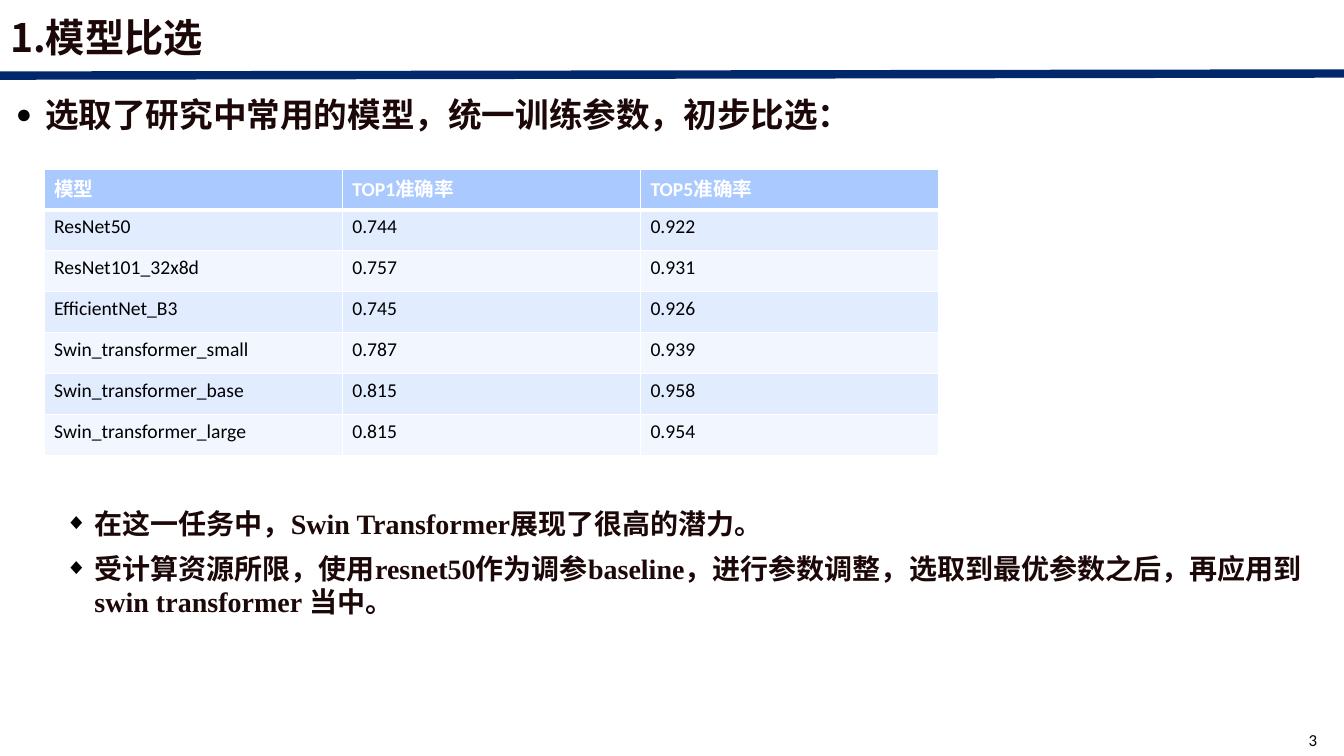
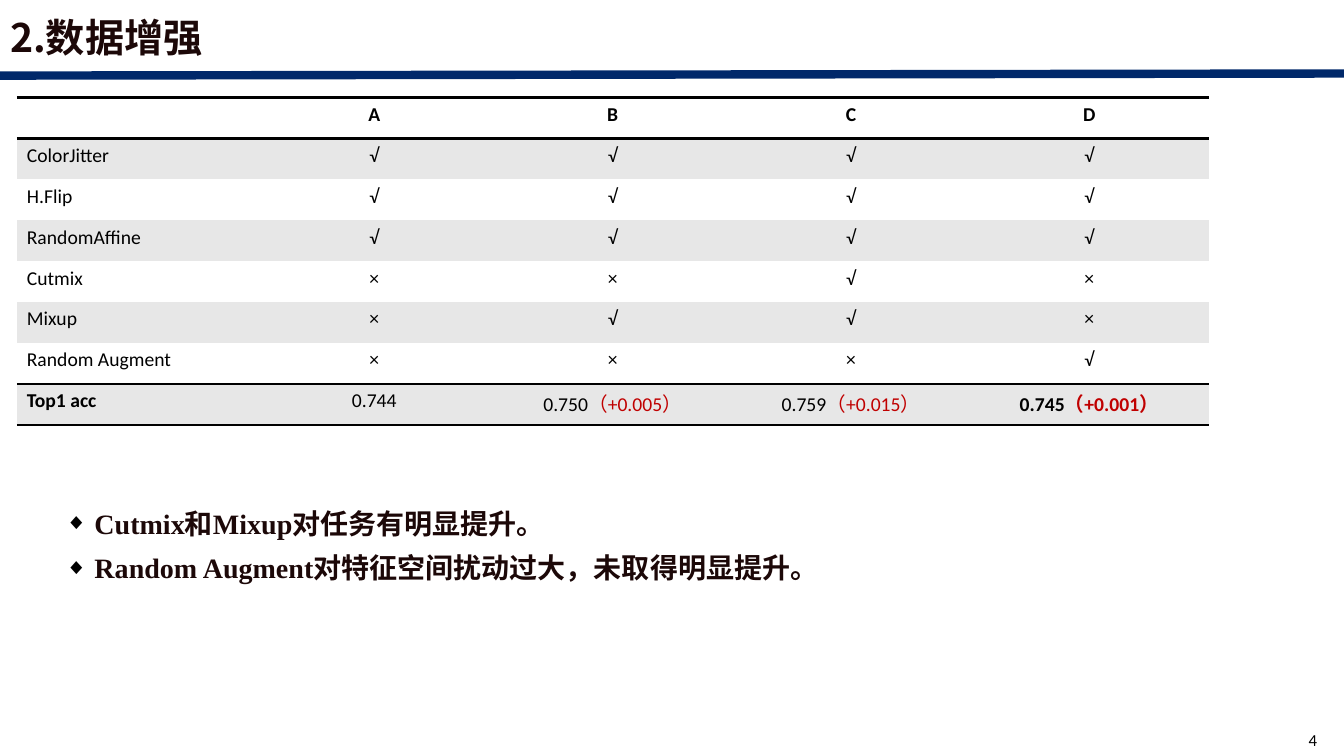
"""Build two slides comparing models and data augmentation for a training task."""
from dataclasses import dataclass

from lxml import etree
from pptx import Presentation
from pptx.dml.color import RGBColor
from pptx.enum.shapes import MSO_CONNECTOR
from pptx.enum.text import MSO_ANCHOR, MSO_AUTO_SIZE, PP_ALIGN
from pptx.oxml.ns import qn
from pptx.util import Emu, Pt

LEFT, CENTER = PP_ALIGN.LEFT, PP_ALIGN.CENTER
MIDDLE = MSO_ANCHOR.MIDDLE
NO_AUTOFIT = MSO_AUTO_SIZE.NONE
STRAIGHT = MSO_CONNECTOR.STRAIGHT
PLAIN_TABLE = "{2D5ABB26-0587-4C30-8999-92F81FD0307C}"
PX = 9525
WIDTH, HEIGHT = 1280, 720
BODY_TOP, POINTS_TOP = 81, 482
ROW_HEIGHT = 39


@dataclass(frozen=True)
class Theme:
    ink: str = "1C0808"
    black: str = "000000"
    white: str = "FFFFFF"
    navy: str = "00286A"
    red: str = "C00000"
    blue_head: str = "AACAFF"
    blue_bands: tuple = ("E2ECFF", "F1F6FF")
    gray_bands: tuple = ("E7E7E7", "FFFFFF")
    asian: str = "Noto Sans CJK SC"
    serif: str = "Times New Roman"
    sans: str = "Calibri"
    title: int = 28
    lead: int = 24
    point: int = 20
    cell: int = 14
    number: int = 12


def px(length):
    return Emu(length * PX)


def color(value):
    return RGBColor.from_string(value)


class Deck:
    def __init__(self, theme):
        self.theme = theme
        self.presentation = Presentation()
        self.presentation.slide_width = px(WIDTH)
        self.presentation.slide_height = px(HEIGHT)
        self.page = None

    def place(self, shape, left, top, width, height):
        shape.left, shape.top = px(left), px(top)
        shape.width, shape.height = px(width), px(height)

    def style(self, para, size, latin, ink, bold=False, align=LEFT):
        para.alignment = align
        font = para.font
        font.size, font.name, font.bold = Pt(size), latin, bold
        font.color.rgb = color(ink)
        defaults = para._p.pPr.find(qn("a:defRPr"))
        etree.SubElement(defaults, qn("a:ea"), typeface=self.theme.asian)

    def add_page(self, title, number):
        theme = self.theme
        self.page = self.presentation.slides.add_slide(self.presentation.slide_layouts[1])
        self.rule()
        self.number(number)
        box = self.page.shapes.title
        self.place(box, 0, 5, WIDTH, 60)
        frame = box.text_frame
        frame.text = title
        frame.vertical_anchor, frame.auto_size = MIDDLE, NO_AUTOFIT
        self.style(frame.paragraphs[0], theme.title, theme.asian, theme.ink, bold=True)

    def rule(self):
        line = self.page.shapes.add_connector(STRAIGHT, 0, px(72), px(WIDTH), px(70))
        line.line.color.rgb = color(self.theme.navy)
        line.line.width = Pt(6)
        etree.SubElement(line._element.spPr, qn("a:effectLst"))

    def number(self, number):
        theme = self.theme
        box = self.page.shapes.add_textbox(px(1225), px(693), px(51), px(23))
        frame = box.text_frame
        frame.word_wrap, frame.vertical_anchor = True, MIDDLE
        frame.margin_left = frame.margin_right = px(4)
        frame.margin_top = frame.margin_bottom = px(4)
        frame.text = str(number)
        self.style(frame.paragraphs[0], theme.number, theme.sans, theme.black, align=CENTER)

    def bullet(self, para, symbol, indent):
        properties = para._p.get_or_add_pPr()
        properties.set("marL", str(px(indent)))
        properties.set("indent", str(px(-28)))
        defaults = properties.find(qn("a:defRPr"))
        tint = etree.Element(qn("a:buClr"))
        etree.SubElement(tint, qn("a:srgbClr"), val=self.theme.black)
        size = etree.Element(qn("a:buSzPct"), val="80000")
        mark = etree.Element(qn("a:buChar"), char=symbol)
        for element in (tint, size, mark):
            defaults.addprevious(element)

    def body(self, points, lead=None):
        theme = self.theme
        box = self.page.placeholders[1]
        self.place(box, 0, BODY_TOP, WIDTH, 612)
        frame = box.text_frame
        frame.auto_size = NO_AUTOFIT
        frame.margin_left, frame.margin_right = px(15), 0
        frame.margin_top = px(8 if lead else POINTS_TOP - BODY_TOP)
        frame.margin_bottom = px(8)
        texts = ([lead] if lead else []) + points
        frame.text = "\n".join(texts)
        for index, para in enumerate(frame.paragraphs):
            is_lead = bool(lead) and index == 0
            size, height = (theme.lead, 29) if is_lead else (theme.point, 24)
            self.style(para, size, theme.serif, theme.ink, bold=True)
            para.level = 0 if is_lead else 1
            para.line_spacing = Pt(height)
            para.space_before = Pt(262 if lead and index == 1 else 4)
            para.space_after = Pt(4)
            self.bullet(para, "●" if is_lead else "◆", 28 if is_lead else 75)

    def border(self, cell, side, width, ink):
        line = etree.SubElement(cell._tc.get_or_add_tcPr(), qn(f"a:ln{side}"), w=str(Pt(width)))
        if width:
            fill = etree.SubElement(line, qn("a:solidFill"))
            etree.SubElement(fill, qn("a:srgbClr"), val=ink)
        else:
            etree.SubElement(line, qn("a:noFill"))

    def table(self, rows, left, top, column, head, bands, head_ink, edges, edge_ink,
              upright=0, align=LEFT, strong=()):
        theme = self.theme
        count = len(rows[0])
        frame = self.page.shapes.add_table(len(rows), count, px(left), px(top),
                                           px(column * count), px(ROW_HEIGHT * len(rows)))
        table = frame.table
        table._tbl.tblPr.find(qn("a:tableStyleId")).text = PLAIN_TABLE
        for row, texts in enumerate(rows):
            table.rows[row].height = px(ROW_HEIGHT)
            widths = {"L": upright, "R": upright,
                      "T": edges.get(row, 0), "B": edges.get(row + 1, 0)}
            for index, text in enumerate(texts):
                cell = table.cell(row, index)
                for side, width in widths.items():
                    self.border(cell, side, width, edge_ink)
                cell.fill.solid()
                cell.fill.fore_color.rgb = color(bands[(row - 1) % 2] if row else head)
                para = cell.text_frame.paragraphs[0]
                self.style(para, theme.cell, theme.sans, theme.black if row else head_ink,
                           bold=row == 0 or (row, index) in strong,
                           align=align if index else LEFT)
                value, *gain = text.partition("（")
                if value:
                    para.add_run().text = value
                if gain[0]:
                    span = para.add_run()
                    span.text = "".join(gain)
                    span.font.color.rgb = color(theme.red)


def main():
    theme = Theme()
    deck = Deck(theme)

    deck.add_page("1.模型比选", 3)
    deck.body(
        ["在这一任务中，Swin Transformer展现了很高的潜力。",
         "受计算资源所限，使用resnet50作为调参baseline，进行参数调整，"
         "选取到最优参数之后，再应用到swin transformer 当中。"],
        lead="选取了研究中常用的模型，统一训练参数，初步比选：")
    models = [
        ("模型", "TOP1准确率", "TOP5准确率"),
        ("ResNet50", "0.744", "0.922"),
        ("ResNet101_32x8d", "0.757", "0.931"),
        ("EfficientNet_B3", "0.745", "0.926"),
        ("Swin_transformer_small", "0.787", "0.939"),
        ("Swin_transformer_base", "0.815", "0.958"),
        ("Swin_transformer_large", "0.815", "0.954"),
    ]
    edges = {edge: 1 for edge in range(len(models) + 1)} | {1: 3}
    deck.table(models, 42, 161, 284, theme.blue_head, theme.blue_bands, theme.white,
               edges, theme.white, upright=1)

    deck.add_page("2.数据增强", 4)
    deck.body(["Cutmix和Mixup对任务有明显提升。",
               "Random Augment对特征空间扰动过大，未取得明显提升。"])
    augmentations = [
        ("", *"ABCD"),
        ("ColorJitter", *"√√√√"),
        ("H.Flip", *"√√√√"),
        ("RandomAffine", *"√√√√"),
        ("Cutmix", *"××√×"),
        ("Mixup", *"×√√×"),
        ("Random Augment", *"×××√"),
        ("Top1 acc", "0.744", "0.750（+0.005）", "0.759（+0.015）", "0.745（+0.001）"),
    ]
    deck.table(augmentations, 16, 93, 227, theme.white, theme.gray_bands, theme.black,
               {0: 2, 1: 2, 7: 1, 8: 2}, theme.black, align=CENTER,
               strong={(7, 0), (7, 4)})

    deck.presentation.save("out.pptx")


if __name__ == "__main__":
    main()
